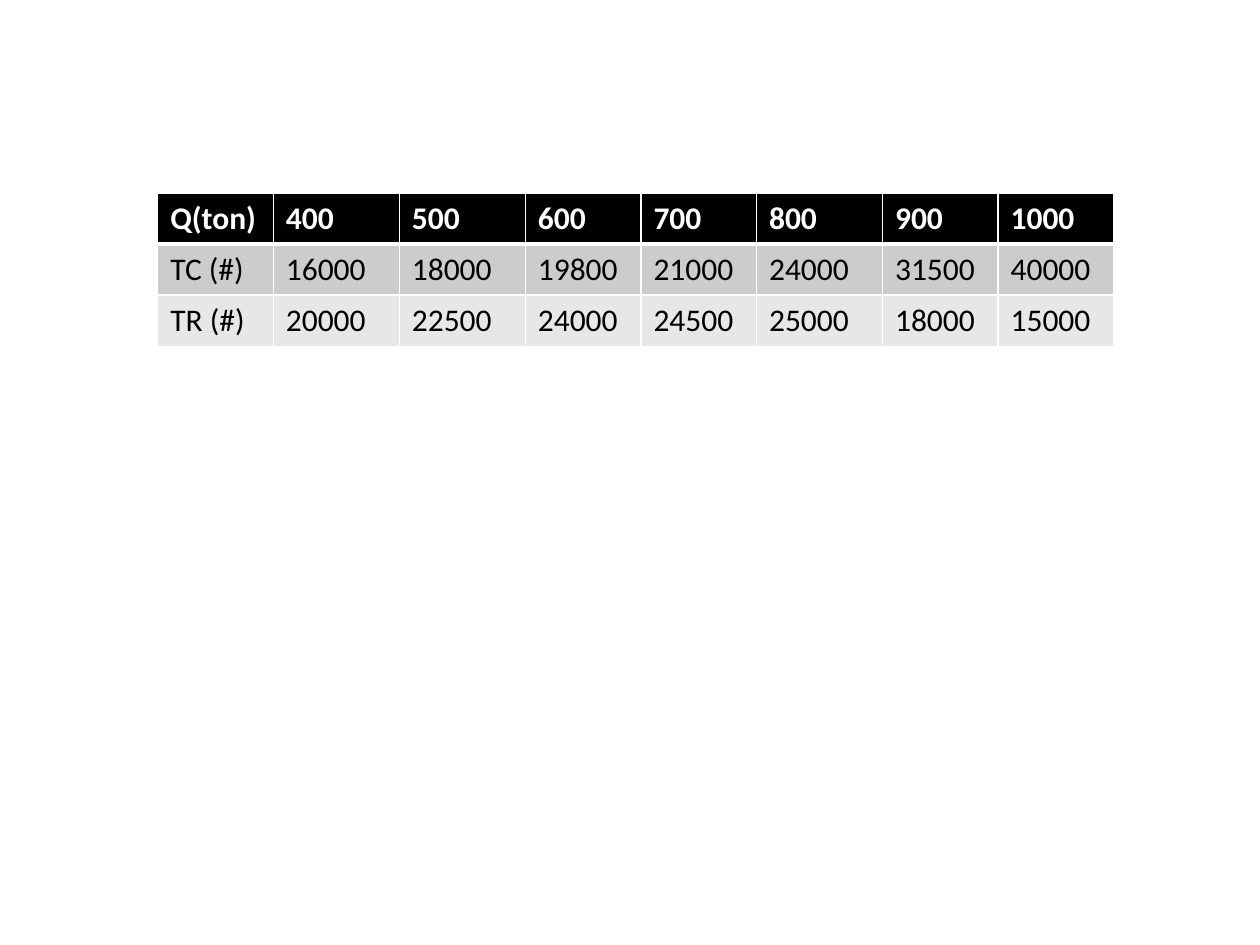
from dataclasses import dataclass

from lxml import etree
from pptx import Presentation
from pptx.dml.color import RGBColor
from pptx.oxml.ns import qn
from pptx.slide import Slide
from pptx.table import _Cell
from pptx.util import Cm, Pt

FONT_NAME = "Calibri"
FONT_SIZE = 18
BORDER_COLOR = "FFFFFF"
THIN_BORDER = 1
THICK_BORDER = 3
TABLE_LEFT = 3.18
TABLE_TOP = 3.89
ROW_HEIGHT = 1.03
NARROW = 2.33
WIDE = 2.54
COLUMN_WIDTHS = [NARROW, WIDE, WIDE, NARROW, NARROW, WIDE, NARROW, NARROW]


@dataclass
class TableRow:
    label: str
    values: list[int]
    fill: str
    text_color: str = "000000"
    bold: bool = False
    top_border: int = THIN_BORDER
    bottom_border: int = THIN_BORDER


ROWS = [
    TableRow("Q(ton)", [400, 500, 600, 700, 800, 900, 1000], "000000",
             text_color="FFFFFF", bold=True, bottom_border=THICK_BORDER),
    TableRow("TC (#)", [16000, 18000, 19800, 21000, 24000, 31500, 40000], "CCCCCC",
             top_border=THICK_BORDER),
    TableRow("TR (#)", [20000, 22500, 24000, 24500, 25000, 18000, 15000], "E7E7E7"),
]


def color(value: str) -> RGBColor:
    return RGBColor.from_string(value)


def add_border(cell: _Cell, side: str, width: int) -> None:
    properties = cell._tc.get_or_add_tcPr()
    line = etree.SubElement(properties, qn(f"a:ln{side}"), w=str(Pt(width)))
    fill = etree.SubElement(line, qn("a:solidFill"))
    etree.SubElement(fill, qn("a:srgbClr"), val=BORDER_COLOR)


def fill_cell(cell: _Cell, text: str, row: TableRow) -> None:
    borders = {"L": THIN_BORDER, "R": THIN_BORDER,
               "T": row.top_border, "B": row.bottom_border}
    for side, width in borders.items():
        add_border(cell, side, width)
    cell.fill.solid()
    cell.fill.fore_color.rgb = color(row.fill)
    cell.text = text
    font = cell.text_frame.paragraphs[0].font
    font.name = FONT_NAME
    font.size = Pt(FONT_SIZE)
    font.bold = row.bold
    font.color.rgb = color(row.text_color)


def add_cost_table(slide: Slide, rows: list[TableRow]) -> None:
    table = slide.shapes.add_table(
        len(rows), len(COLUMN_WIDTHS), Cm(TABLE_LEFT), Cm(TABLE_TOP),
        Cm(sum(COLUMN_WIDTHS)), Cm(ROW_HEIGHT * len(rows)),
    ).table
    for column, width in zip(table.columns, COLUMN_WIDTHS):
        column.width = Cm(width)
    for table_row, row in zip(table.rows, rows):
        table_row.height = Cm(ROW_HEIGHT)
        for cell, content in zip(table_row.cells, [row.label, *row.values]):
            fill_cell(cell, str(content), row)


def main() -> None:
    presentation = Presentation()
    presentation.slide_width = Cm(25.4)
    presentation.slide_height = Cm(19.05)
    slide = presentation.slides.add_slide(presentation.slide_layouts[6])
    add_cost_table(slide, ROWS)
    presentation.save("out.pptx")


if __name__ == "__main__":
    main()
